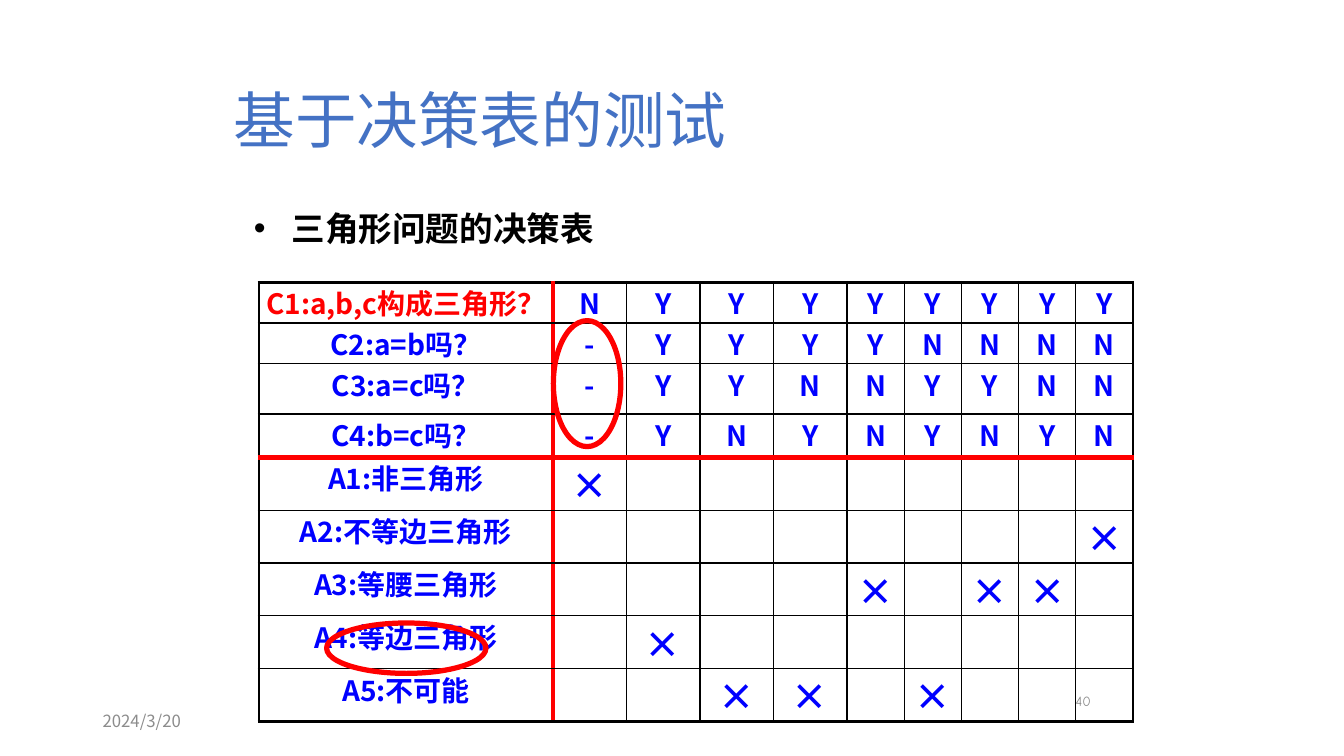
from lxml.etree import SubElement
from pptx import Presentation
from pptx.dml.color import RGBColor
from pptx.enum.shapes import MSO_SHAPE as Shape
from pptx.enum.text import MSO_ANCHOR as Anchor, PP_ALIGN as Align
from pptx.oxml.ns import qn
from pptx.util import Pt

BLACK = RGBColor(0x00, 0x00, 0x00)
RED = RGBColor(0xFF, 0x00, 0x00)
BLUE = RGBColor(0x00, 0x00, 0xFF)
TITLE_BLUE = RGBColor(0x44, 0x72, 0xC4)
GRAY = RGBColor(0x8C, 0x8C, 0x8C)
SANS, COMIC = "Noto Sans CJK SC", "Comic Neue"

# Each condition has one answer per rule.
CONDITIONS = [
    ("C1:a,b,c构成三角形？", "NYYYYYYYY"),
    ("C2:a=b吗？", "-YYYYNNNN"),
    ("C3:a=c吗？", "-YYNNYYNN"),
    ("C4:b=c吗？", "-YNYNYNYN"),
]
# Each action lists the rules that trigger it, counted from 1.
ACTIONS = [
    ("A1:非三角形", {1}),
    ("A2:不等边三角形", {9}),
    ("A3:等腰三角形", {5, 7, 8}),
    ("A4:等边三角形", {2}),
    ("A5:不可能", {3, 4, 6}),
]
RULE_COUNT = 9
COLUMN_WIDTHS = [210] + [52.5] * 4 + [40.9] * 5
ROW_HEIGHTS = [27.4, 28.1, 36] + [31] * 6
TABLE_LEFT, TABLE_TOP = 185, 201.6

TEXTS = [  # box, text, format
    ((174.2, 144.7, 293.8, 38.2), "三角形问题的决策表",
     dict(size=24, color=BLACK, bold=True, bullet_indent=27)),
    ((159.8, 39.6, 640.8, 76.3), "基于决策表的测试",
     dict(size=44, color=TITLE_BLUE, anchor=Anchor.BOTTOM, line_spacing=0.9)),
    ((627.1, 491, 159.1, 18.7), "40",
     dict(size=10, color=GRAY, font=COMIC, align=Align.RIGHT, anchor=Anchor.MIDDLE)),
    ((66.2, 500.4, 216, 28.8), "2024/3/20",
     dict(size=12, color=GRAY, anchor=Anchor.MIDDLE)),
]
ELLIPSES = [(395.3, 229, 48.2, 90), (233.3, 445, 113.8, 36)]


def write_text(frame, text, *, size, color, font=SANS, bold=False, align=Align.LEFT,
               anchor=Anchor.TOP, line_spacing=None, bullet_indent=None):
    frame.word_wrap = True
    frame.vertical_anchor = anchor
    paragraph = frame.paragraphs[0]
    paragraph.alignment = align
    if line_spacing:
        paragraph.line_spacing = line_spacing
    if bullet_indent:
        properties = paragraph._p.get_or_add_pPr()
        properties.set("marL", str(Pt(bullet_indent)))
        properties.set("indent", str(-Pt(bullet_indent)))
        SubElement(properties, qn("a:buFont"), typeface="Arial")
        SubElement(properties, qn("a:buChar"), char="•")
    run = paragraph.add_run()
    run.text = text
    run.font.size = Pt(size)
    run.font.bold = bold
    run.font.color.rgb = color
    run.font.name = font
    SubElement(run._r.get_or_add_rPr(), qn("a:ea"), typeface=font)


def set_borders(cell, borders):
    """Draw the left, right, top and bottom borders, each a (colour, width) pair."""
    properties = cell._tc.get_or_add_tcPr()
    for index, (side, (color, width)) in enumerate(zip("LRTB", borders)):
        line = SubElement(properties, qn(f"a:ln{side}"), w=str(Pt(width)))
        fill = SubElement(line, qn("a:solidFill"))
        SubElement(fill, qn("a:srgbClr"), val=str(color))
        properties.insert(index, line)


def edge_style(index, count, divider, divider_width):
    """Style of the grid line before the row or column at index."""
    if index in (0, count):
        return BLACK, 2.25
    return (RED, divider_width) if index == divider else (BLACK, 1)


def add_decision_table(slide):
    rows = [[label, *answers] for label, answers in CONDITIONS]
    rows += [[label] + ["×" if rule in rules else "" for rule in range(1, RULE_COUNT + 1)]
             for label, rules in ACTIONS]
    row_count, column_count = len(rows), len(COLUMN_WIDTHS)
    table = slide.shapes.add_table(
        row_count, column_count, Pt(TABLE_LEFT), Pt(TABLE_TOP),
        Pt(sum(COLUMN_WIDTHS)), Pt(sum(ROW_HEIGHTS))).table
    table.first_row = table.horz_banding = False
    for column, width in zip(table.columns, COLUMN_WIDTHS):
        column.width = Pt(width)
    for row, height in zip(table.rows, ROW_HEIGHTS):
        row.height = Pt(height)

    column_edges = [edge_style(i, column_count, 1, 3) for i in range(column_count + 1)]
    row_edges = [edge_style(i, row_count, len(CONDITIONS), 4.5) for i in range(row_count + 1)]
    for r, texts in enumerate(rows):
        for c, text in enumerate(texts):
            cell = table.cell(r, c)
            cell.fill.background()
            set_borders(cell, column_edges[c:c + 2] + row_edges[r:r + 2])
            if text:
                cell.margin_left = cell.margin_right = cell.margin_top = cell.margin_bottom = 0
                write_text(cell.text_frame, text, size=26 if text == "×" else 20, bold=True,
                           color=RED if r == c == 0 else BLUE, align=Align.CENTER)


def add_ellipse(slide, box):
    ellipse = slide.shapes.add_shape(Shape.OVAL, *map(Pt, box))
    ellipse.shadow.inherit = False
    ellipse.fill.background()
    ellipse.line.color.rgb = RED
    ellipse.line.width = Pt(3.75)


def main():
    presentation = Presentation()
    presentation.slide_width, presentation.slide_height = Pt(960), Pt(540)
    slide = presentation.slides.add_slide(presentation.slide_layouts[6])
    add_decision_table(slide)
    for box in ELLIPSES:
        add_ellipse(slide, box)
    for box, text, text_format in TEXTS:
        write_text(slide.shapes.add_textbox(*map(Pt, box)).text_frame, text, **text_format)
    presentation.save("out.pptx")


if __name__ == "__main__":
    main()
